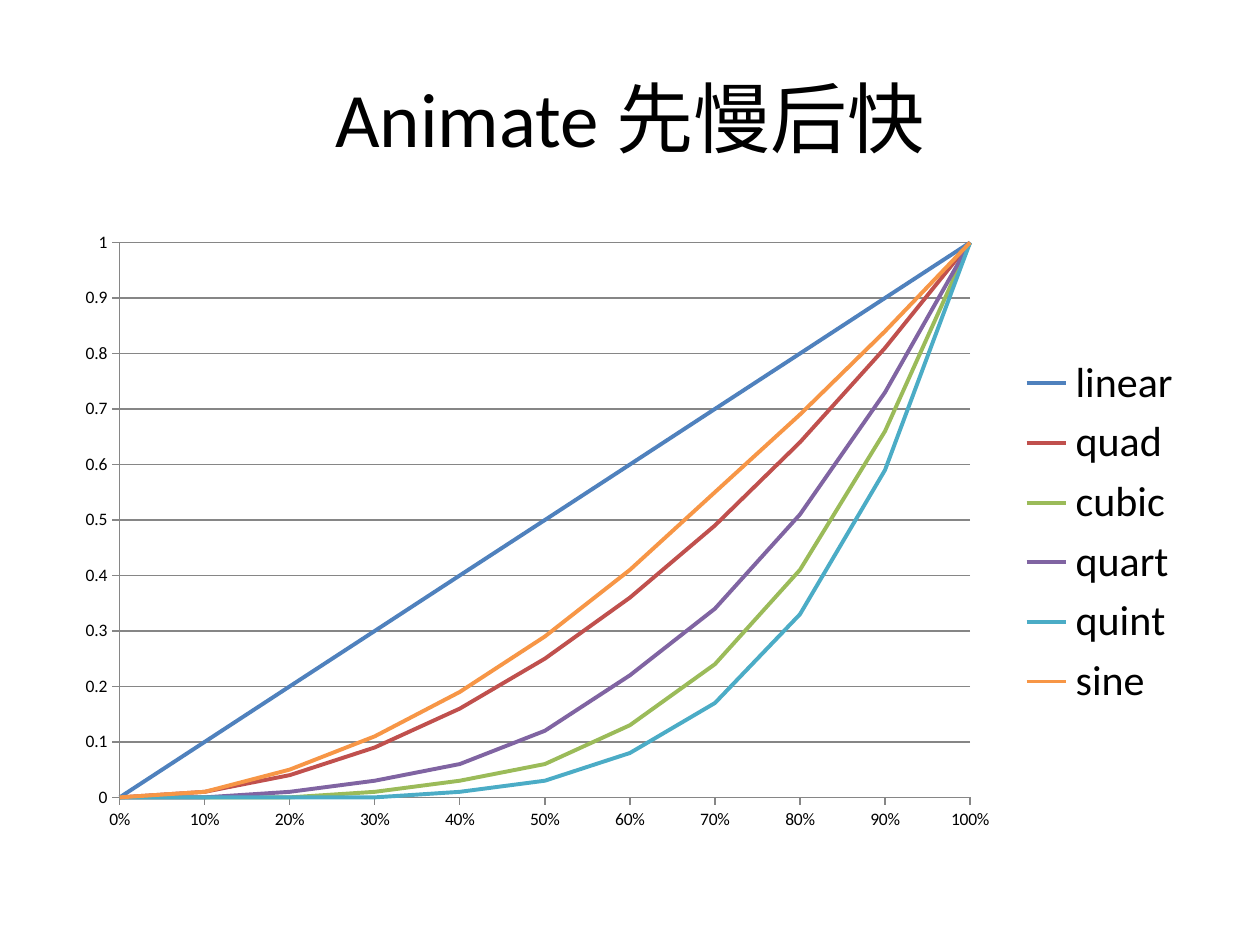
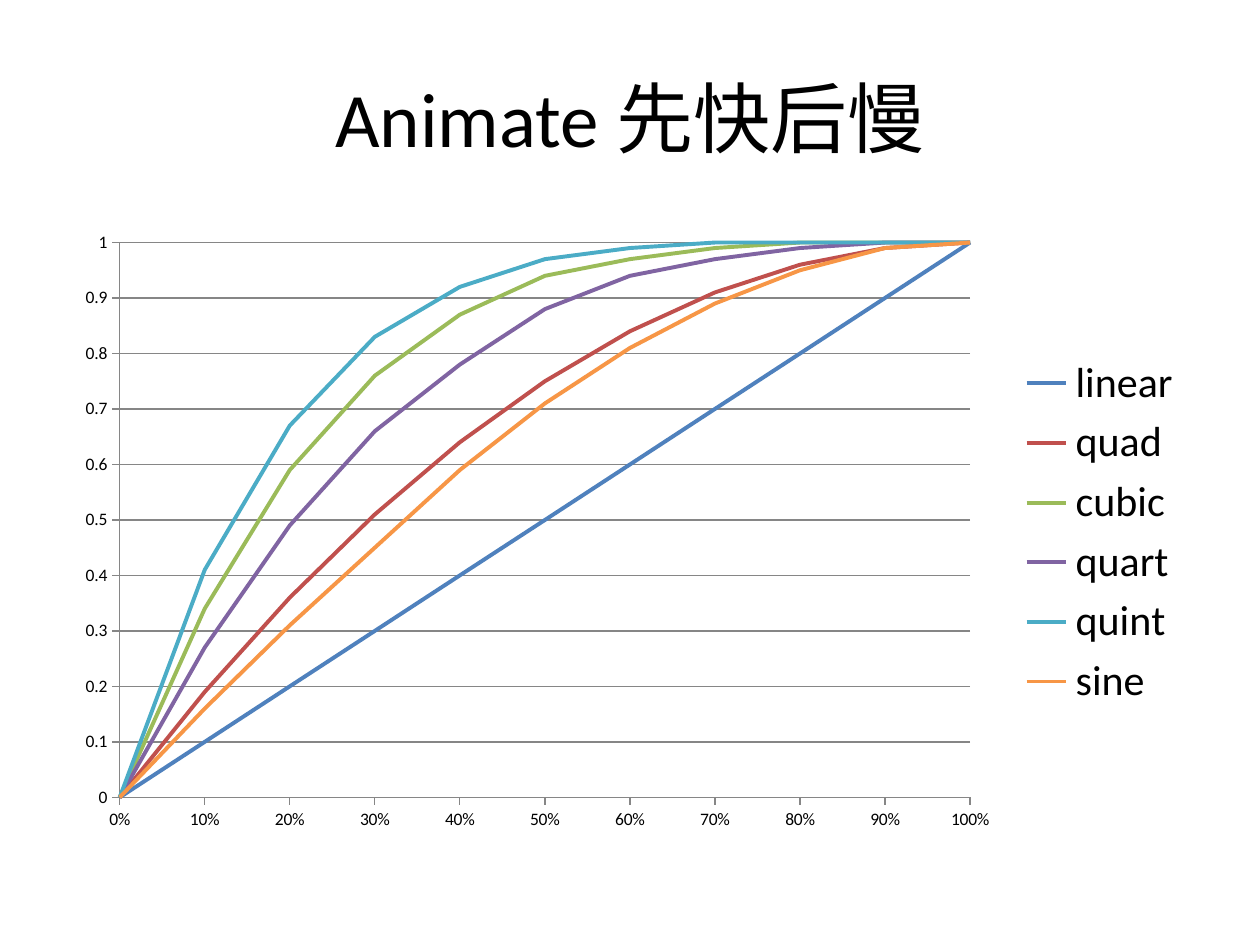
"""Build two slides that chart easing curves, ease-in and ease-out."""
from math import cos, pi

from lxml.etree import SubElement
from pptx import Presentation
from pptx.chart.data import CategoryChartData
from pptx.dml.color import RGBColor
from pptx.enum.chart import XL_CHART_TYPE as ChartType, XL_LEGEND_POSITION as LegendPos
from pptx.enum.chart import XL_TICK_MARK as Tick
from pptx.enum.text import MSO_ANCHOR as Anchor, PP_ALIGN as Align
from pptx.oxml.ns import qn
from pptx.util import Cm, Pt

FONT = "Calibri"
BLACK, GRAY = "000000", "868686"
STEPS = [i / 10 for i in range(11)]
CURVES = [
    ("linear", "4F81BD", lambda t: t),
    ("quad", "C0504D", lambda t: t ** 2),
    ("cubic", "9BBB59", lambda t: t ** 4),
    ("quart", "8064A2", lambda t: t ** 3),
    ("quint", "4BACC6", lambda t: t ** 5),
    ("sine", "F79646", lambda t: 1 - cos(t * pi / 2)),
]
SLIDES = [
    ("Animate 先慢后快", lambda ease, t: ease(t)),
    ("Animate 先快后慢", lambda ease, t: 1 - ease(1 - t)),
]
LEFT, WIDTH = Cm(1.27), Cm(22.86)
TITLE_TOP, TITLE_HEIGHT = Cm(0.76), Cm(3.18)
CHART_TOP, CHART_HEIGHT = Cm(4.45), Cm(12.57)
PLOT = {"x": 0.05, "y": 0.035, "w": 0.75, "h": 0.89}


def rgb(color):
    return RGBColor.from_string(color)


def set_font(font, size):
    font.name, font.size, font.color.rgb = FONT, Pt(size), rgb(BLACK)


def set_line(line, color, width):
    line.color.rgb, line.width = rgb(color), Pt(width)


def add_title(slide, text):
    tf = slide.shapes.add_textbox(LEFT, TITLE_TOP, WIDTH, TITLE_HEIGHT).text_frame
    tf.word_wrap, tf.vertical_anchor = True, Anchor.MIDDLE
    p = tf.paragraphs[0]
    p.text, p.alignment = text, Align.CENTER
    set_font(p.runs[0].font, 44)


def place_plot(chart):
    area = chart.element.chart.plotArea
    for old in area.findall(qn("c:layout")):
        area.remove(old)
    layout = area.makeelement(qn("c:layout"))
    area.insert(0, layout)
    manual = SubElement(layout, qn("c:manualLayout"))
    modes = {"layoutTarget": "inner", "xMode": "edge", "yMode": "edge"}
    for tag, val in {**modes, **PLOT}.items():
        SubElement(manual, qn(f"c:{tag}")).set("val", str(val))


def add_curves(slide, direction):
    data = CategoryChartData()
    data.categories = STEPS
    data.categories.number_format = "0%"
    for name, _, ease in CURVES:
        data.add_series(name, [round(direction(ease, t), 2) for t in STEPS])
    chart = slide.shapes.add_chart(
        ChartType.LINE, LEFT, CHART_TOP, WIDTH, CHART_HEIGHT, data).chart
    set_font(chart.font, 10)
    chart.has_title = False
    chart.has_legend = True
    chart.legend.position, chart.legend.include_in_layout = LegendPos.RIGHT, False
    set_font(chart.legend.font, 24)
    chart.plots[0].vary_by_categories = False
    for series, (_, color, _) in zip(chart.plots[0].series, CURVES):
        series.smooth = False
        set_line(series.format.line, color, 2.25)

    cat, val = chart.category_axis, chart.value_axis
    for axis, number_format in ((cat, "0%"), (val, "General")):
        axis.major_tick_mark, axis.minor_tick_mark = Tick.OUTSIDE, Tick.NONE
        axis.tick_labels.number_format = number_format
        axis.tick_labels.number_format_is_linked = False
        set_line(axis.format.line, GRAY, 0.75)
    val.minimum_scale, val.maximum_scale, val.major_unit = 0, 1, 0.1
    val.has_major_gridlines = True
    set_line(val.major_gridlines.format.line, GRAY, 0.75)
    val_ax = chart.element.chart.plotArea.find(qn("c:valAx"))
    between = val_ax.find(qn("c:crossBetween"))
    if between is None:
        between = val_ax.makeelement(qn("c:crossBetween"))
        val_ax.find(qn("c:crosses")).addnext(between)
    between.set("val", "midCat")
    place_plot(chart)


def main():
    prs = Presentation()
    prs.slide_width, prs.slide_height = Cm(25.4), Cm(19.05)
    for title, direction in SLIDES:
        slide = prs.slides.add_slide(prs.slide_layouts[6])
        add_title(slide, title)
        add_curves(slide, direction)
    prs.save("out.pptx")


if __name__ == "__main__":
    main()
